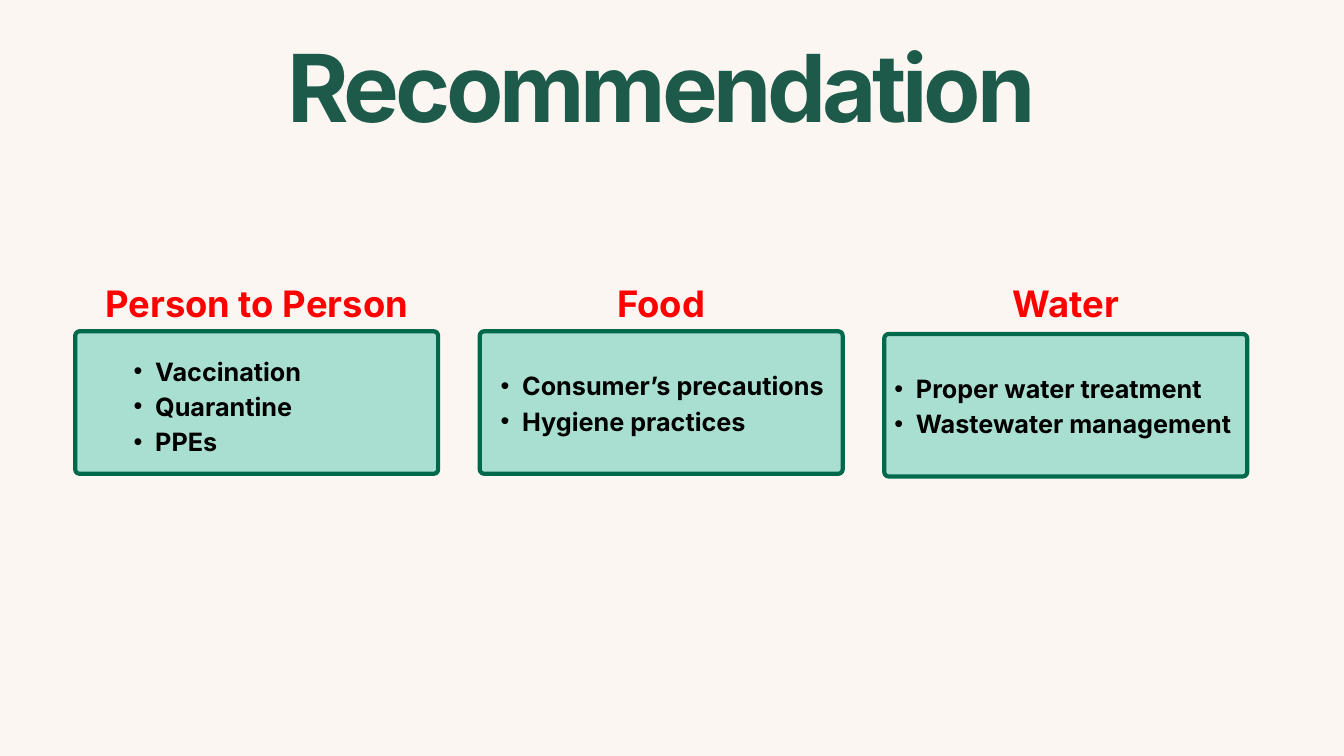
import pptx
import pptx.dml.color
import pptx.enum.shapes
import pptx.enum.text
import pptx.oxml
import pptx.util
from pptx.util import Inches

FONT = "Inter"
BACKGROUND = "FBF6F1"
TITLE_GREEN = "1E5A4A"
CARD_FILL = "A9DFD0"
CARD_BORDER = "00694C"
HEADING_RED = "FF0000"
LIST_BLACK = "000000"

CARD_WIDTH, CARD_HEIGHT = 5.4, 2.12
CARD_LEFT, CARD_PITCH = 1.12, 6.02
HEADING_TOP = 4.08

# heading, card top, list box (left and top within the card, width, height), list
ROUTES = [
    ("Person to Person", 4.93, (0.55, 0.29, 4.71, 1.55),
     ["Vaccination", "Quarantine", "PPEs"]),
    ("Food", 4.93, (-0.01, 0.51, 5.42, 1.03),
     ["Consumer’s precautions", "Hygiene practices"]),
    ("Water", 4.97, (-0.17, 0.51, 5.74, 1.03),
     ["Proper water treatment", "Wastewater management"]),
]


def colour(hex_string):
    return pptx.dml.color.RGBColor.from_string(hex_string)


def set_all(target, values):
    for name, value in values.items():
        setattr(target, name, value)


def place(shape, left, top, width, height):
    set_all(shape, {"left": Inches(left), "top": Inches(top),
                    "width": Inches(width), "height": Inches(height)})


def write(shape, lines, size, hex_string, leading, align):
    """Fill a shape with one bold paragraph per line, at a fixed line pitch."""
    frame = shape.text_frame
    frame.text = "\n".join(lines)
    set_all(frame, {
        "margin_left": 0, "margin_top": 0, "margin_right": 0, "margin_bottom": 0,
        "word_wrap": True,
        "auto_size": pptx.enum.text.MSO_AUTO_SIZE.NONE,
        "vertical_anchor": pptx.enum.text.MSO_ANCHOR.TOP,
    })
    for paragraph in frame.paragraphs:
        set_all(paragraph, {
            "alignment": align, "line_spacing": pptx.util.Pt(leading),
            "space_before": pptx.util.Pt(0), "space_after": pptx.util.Pt(0),
        })
        for run in paragraph.runs:
            set_all(run.font, {"name": FONT, "size": pptx.util.Pt(size), "bold": True})
            run.font.color.rgb = colour(hex_string)


def add_bullets(shape, indent):
    for paragraph in shape.text_frame.paragraphs:
        properties = paragraph._p.get_or_add_pPr()
        properties.set("marL", str(Inches(2 * indent)))
        properties.set("indent", str(-Inches(indent)))
        for tag, attribute, value in (("a:buFont", "typeface", "Arial"),
                                      ("a:buChar", "char", "•")):
            bullet = pptx.oxml.xmlchemy.OxmlElement(tag)
            bullet.set(attribute, value)
            properties.append(bullet)


def build_title(title, left, top, width, height):
    place(title, left, top, width, height)
    write(title, ["Recommendation"], 100.4, TITLE_GREEN, 90.4,
          pptx.enum.text.PP_ALIGN.CENTER)
    for run in title.text_frame.paragraphs[0].runs:
        run._r.get_or_add_rPr().set("spc", "-460")


def build_card(slide, left, top, width, height):
    card = slide.shapes.add_shape(
        pptx.enum.shapes.MSO_SHAPE.ROUNDED_RECTANGLE,
        Inches(left), Inches(top), Inches(width), Inches(height))
    card.adjustments[0] = 0.03
    card.shadow.inherit = False
    card.fill.solid()
    card.fill.fore_color.rgb = colour(CARD_FILL)
    card.line.color.rgb = colour(CARD_BORDER)
    card.line.width = pptx.util.Pt(4.5)


def build_route(slide, body, left, route):
    heading_text, top, (list_left, list_top, list_width, list_height), items = route
    build_card(slide, left, top, CARD_WIDTH, CARD_HEIGHT)

    heading = slide.shapes.add_textbox(
        Inches(left), Inches(HEADING_TOP), Inches(CARD_WIDTH), Inches(0.73))
    write(heading, [heading_text], 39, HEADING_RED, 54.6,
          pptx.enum.text.PP_ALIGN.CENTER)

    place(body, left + list_left, top + list_top, list_width, list_height)
    write(body, items, 27, LIST_BLACK, 37.8, pptx.enum.text.PP_ALIGN.LEFT)
    add_bullets(body, 0.32)
    slide.shapes._spTree.append(body._element)  # bring the list in front of its card


def main():
    deck = pptx.Presentation()
    set_all(deck, {"slide_width": Inches(20), "slide_height": Inches(11.25)})
    slide = deck.slides.add_slide(deck.slide_layouts.get_by_name("Comparison"))
    slide.background.fill.solid()
    slide.background.fill.fore_color.rgb = colour(BACKGROUND)

    title, *bodies = slide.placeholders
    build_title(title, 2.27, 0.85, 15.15, 1.37)
    for column, (body, route) in enumerate(zip(bodies, ROUTES)):
        build_route(slide, body, CARD_LEFT + column * CARD_PITCH, route)
    for unused in bodies[len(ROUTES):]:
        slide.shapes._spTree.remove(unused._element)

    deck.save("out.pptx")


if __name__ == "__main__":
    main()
